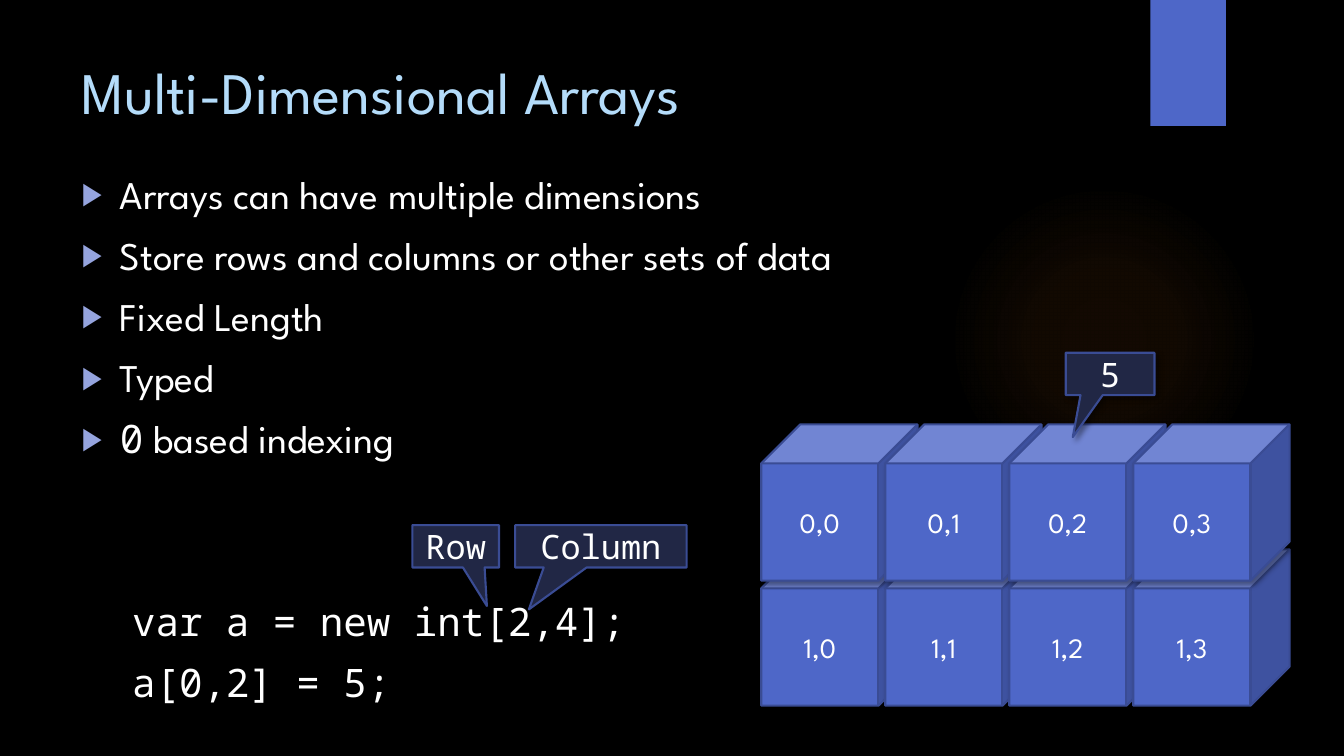
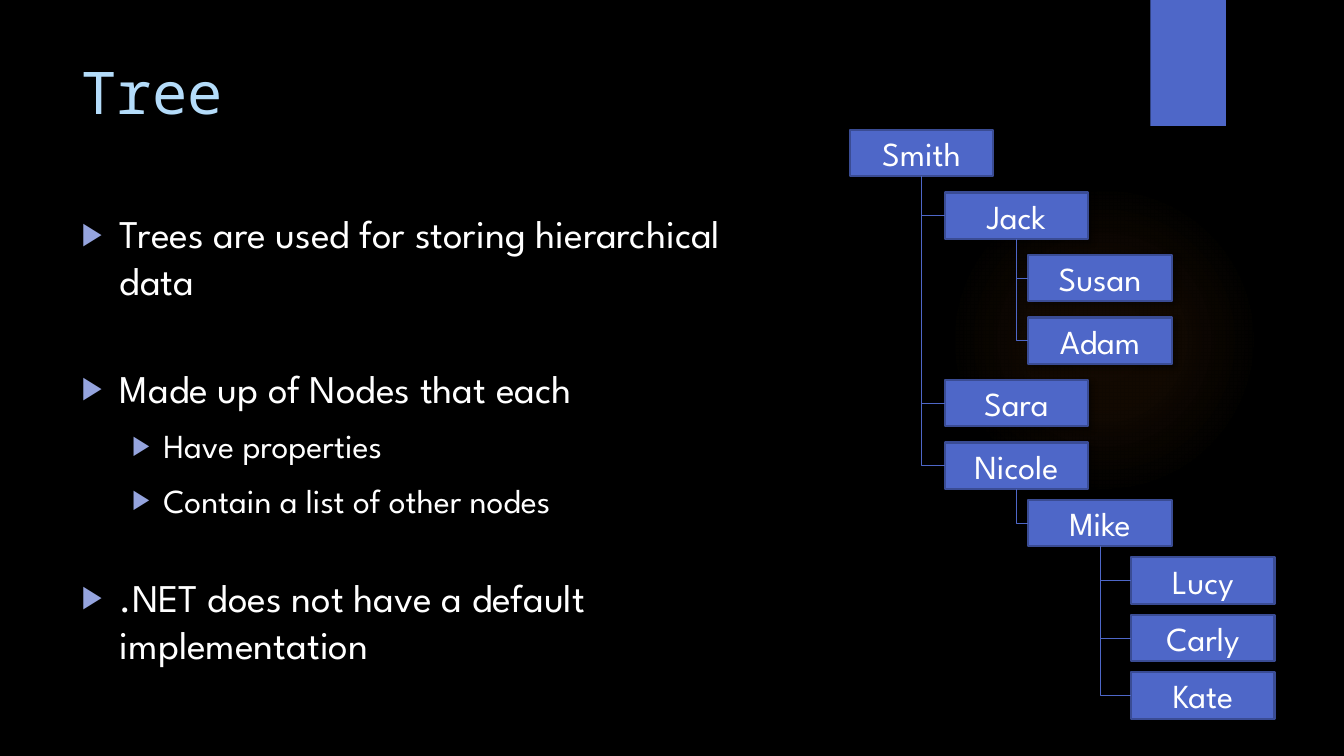
from pptx import Presentation, oxml, util as u
from pptx.dml.color import RGBColor
from pptx.enum import shapes, text
from pptx.oxml.ns import nsdecls, qn

SANS, MONO = "League Spartan", "Noto Sans Mono"
BLACK, WHITE, SKY = "000000", "FFFFFF", "B4DCFA"
BLUE, EDGE, NAVY, LILAC, ORANGE = "4E67C8", "3A4C94", "212745", "95A4DE", "FF8021"
SHAPE = shapes.MSO_SHAPE
# Left margin and hanging indent of each list level
INDENTS = [(0.38, -0.38), (0.81, -0.31)]


def color(value):
    return RGBColor.from_string(value)


def assign(target, **values):
    for name, value in values.items():
        setattr(target, name, value)


def place(target, left, top, width, height):
    assign(target, left=u.Inches(left), top=u.Inches(top),
           width=u.Inches(width), height=u.Inches(height))


def element(tag, attributes="", content=""):
    return oxml.parse_xml(f'<a:{tag} {nsdecls("a")} {attributes}>{content}</a:{tag}>')


def add_span(para, words, size, font=SANS, ink=WHITE):
    span = para.add_run()
    span.text = words
    assign(span.font, size=u.Pt(size), name=font)
    span.font.color.rgb = color(ink)


def add_shadow(shape, opacity=40, blur=4, distance=3, angle=45):
    shade = (f'<a:outerShdw blurRad="{u.Pt(blur)}" dist="{u.Pt(distance)}" '
             f'dir="{angle * 60000}" algn="ctr" rotWithShape="0"><a:srgbClr val="{BLACK}">'
             f'<a:alpha val="{opacity * 1000}"/></a:srgbClr></a:outerShdw>')
    shape.shadow.inherit = False
    shape.element.spPr.find(qn("a:effectLst")).append(element("effectLst", "", shade)[0])


def add_block(page, kind, bounds, words, size, font=SANS, fill=BLUE):
    """Outlined, shadowed shape with a centred label."""
    block = page.shapes.add_shape(kind, *map(u.Inches, bounds))
    block.fill.solid()
    block.fill.fore_color.rgb = color(fill)
    block.line.color.rgb = color(EDGE)
    block.line.width = u.Pt(1.5)
    add_shadow(block)
    block.text_frame.vertical_anchor = text.MSO_ANCHOR.MIDDLE
    para = block.text_frame.paragraphs[0]
    para.alignment = text.PP_ALIGN.CENTER
    add_span(para, words, size, font)
    return block


def decorate_master(deck, page):
    """Black background, glow and corner band shared by all slides."""
    master = deck.slide_master
    master.background.fill.solid()
    master.background.fill.fore_color.rgb = color(BLACK)

    glow = page.shapes.add_shape(SHAPE.OVAL, *map(u.Inches, (9.41, 1.83, 3.08, 3.08)))
    stops = "".join(
        f'<a:gs pos="{position}000"><a:srgbClr val="{ORANGE}">'
        f'<a:alpha val="{opacity}000"/></a:srgbClr></a:gs>'
        for position, opacity in [(0, 7), (36, 6), (69, 0)])
    center = '<a:fillToRect l="50000" t="50000" r="50000" b="50000"/>'
    glow.fill.background()
    properties = glow.element.spPr
    properties.replace(properties.find(qn("a:noFill")), element(
        "gradFill", "", f'<a:gsLst>{stops}</a:gsLst><a:path path="circle">{center}</a:path>'))
    glow.shadow.inherit = False

    band = page.shapes.add_shape(SHAPE.RECTANGLE, *map(u.Inches, (11.41, 0, 0.75, 1.25)))
    band.fill.solid()
    band.fill.fore_color.rgb = color(BLUE)
    add_shadow(band, 45, 3, 2, 90)

    for index, part in enumerate([glow, band]):
        part.line.fill.background()
        master.shapes.element.insert(2 + index, part.element)


def fill_title(page, words, font=SANS):
    title = page.shapes.title
    place(title, 0.71, 0.5, 10.29, 1.53)
    assign(title.text_frame, vertical_anchor=text.MSO_ANCHOR.TOP,
           auto_size=text.MSO_AUTO_SIZE.NONE)
    para = title.text_frame.paragraphs[0]
    para.alignment = text.PP_ALIGN.LEFT
    add_span(para, words, 42, font, SKY)


def set_bullet(para, margin, indent, marked):
    properties = para._p.get_or_add_pPr()
    properties.set("marL", str(u.Inches(margin)))
    properties.set("indent", str(u.Inches(indent)))
    if not marked:
        properties.append(element("buNone"))
        return
    properties.append(element("buClr", "", f'<a:srgbClr val="{LILAC}"/>'))
    properties.append(element("buSzPct", 'val="80000"'))
    properties.append(element("buChar", 'char="▶"'))


def fill_body(page, bounds, items):
    """Each item: level (None for code), space before, then (words, font) spans."""
    body = page.placeholders[1]
    place(body, *bounds)
    frame = body.text_frame
    assign(frame, vertical_anchor=text.MSO_ANCHOR.TOP, word_wrap=True,
           auto_size=text.MSO_AUTO_SIZE.NONE)
    for index, (level, gap, *spans) in enumerate(items):
        para = frame.add_paragraph() if index else frame.paragraphs[0]
        is_list = level is not None
        set_bullet(para, *(INDENTS[level] if is_list else (0.5, 0)), is_list)
        assign(para, level=level or 0, space_before=u.Pt(gap))
        for words, font in spans:
            add_span(para, words, 24 if level == 1 else 28, font)


def draw_cubes(page, left, top, rows=2, columns=4):
    side, step = 1.55, 1.23
    for row in reversed(range(rows)):
        for column in range(columns):
            bounds = (left + column * step, top + row * 1.24, side, side)
            add_block(page, SHAPE.CUBE, bounds, f"{row},{column}", 20)


def draw_callout(page, left, top, width, words, tip):
    callout = add_block(page, SHAPE.RECTANGULAR_CALLOUT, (left, top, width, 0.42),
                        words, 24, MONO, NAVY)
    for index, value in enumerate(tip):
        callout.adjustments[index] = value


def join_nodes(page, parent, child):
    """Elbow from the parent's bottom, down and right to the child's left side."""
    start_x, start_y = parent.left + parent.width // 2, parent.top + parent.height
    end_x, end_y = child.left, child.top + child.height // 2
    across, down = end_x - start_x, end_y - start_y
    elbow = page.shapes.add_connector(shapes.MSO_CONNECTOR.ELBOW, start_x, start_y, end_x, end_y)
    elbow.begin_connect(parent, 2)
    elbow.end_connect(child, 1)
    # A turned and flipped box gives the single bend
    assign(elbow, left=(start_x + end_x - down) // 2, top=(start_y + end_y - across) // 2,
           width=down, height=across)
    properties = elbow.element.spPr
    properties.find(qn("a:prstGeom")).set("prst", "bentConnector2")
    frame = properties.find(qn("a:xfrm"))
    frame.set("rot", str(270 * 60000))
    frame.set("flipH", "1")
    elbow.line.color.rgb = color(BLUE)
    elbow.line.width = u.Pt(0.75)
    properties.append(element("effectLst"))


def draw_tree(page, left, top, nodes):
    offsets = [0, 0.94, 1.77, 2.79]
    latest, links = {}, []
    for index, (depth, name) in enumerate(nodes):
        # Rows sit closer together from the sixth on
        drop = 0.62 * min(index, 5) + 0.57 * max(index - 5, 0)
        bounds = (left + offsets[depth], top + drop, 1.42, 0.46)
        latest[depth] = add_block(page, SHAPE.FLOWCHART_PROCESS, bounds, name, 24)
        if depth:
            links.append((latest[depth - 1], latest[depth]))
    for parent, child in links:
        join_nodes(page, parent, child)


def build_arrays(page):
    fill_title(page, "Multi-Dimensional Arrays")
    fill_body(page, (0.71, 1.64, 11.2, 5.66), [
        (0, 0, ("Arrays can have multiple dimensions", SANS)),
        (0, 10, ("Store rows and columns or other sets of data", SANS)),
        (0, 10, ("Fixed Length", SANS)),
        (0, 10, ("Typed", SANS)),
        (0, 10, ("0", MONO), (" based indexing", SANS)),
        (None, 97, ("var a = new int[2,4];", MONO)),
        (None, 10, ("a[0,2] = 5;", MONO)),
    ])
    draw_cubes(page, 7.55, 4.21)
    draw_callout(page, 4.09, 5.21, 0.86, "Row", (0.36, 1.41))
    draw_callout(page, 5.11, 5.21, 1.7, "Column", (-0.42, 1.49))
    draw_callout(page, 10.57, 3.5, 0.88, "5", (-0.42, 1.49))


def build_tree(page):
    fill_title(page, "Tree", MONO)
    fill_body(page, (0.71, 2.03, 7.07, 5.1), [
        (0, 0, ("Trees are used for storing hierarchical data", SANS)),
        (0, 43, ("Made up of Nodes that each", SANS)),
        (1, 10, ("Have properties", SANS)),
        (1, 10, ("Contain a list of other nodes", SANS)),
        (0, 38, (".NET does not have a default implementation", SANS)),
    ])
    draw_tree(page, 8.43, 1.29, [
        (0, "Smith"), (1, "Jack"), (2, "Susan"), (2, "Adam"), (1, "Sara"),
        (1, "Nicole"), (2, "Mike"), (3, "Lucy"), (3, "Carly"), (3, "Kate")])


def main():
    deck = Presentation()
    deck.slide_width, deck.slide_height = u.Inches(13.33), u.Inches(7.5)
    pages = [deck.slides.add_slide(deck.slide_layouts[1]) for _ in range(2)]
    decorate_master(deck, pages[0])
    for build, page in zip([build_arrays, build_tree], pages):
        build(page)
    deck.save("out.pptx")


if __name__ == "__main__":
    main()
